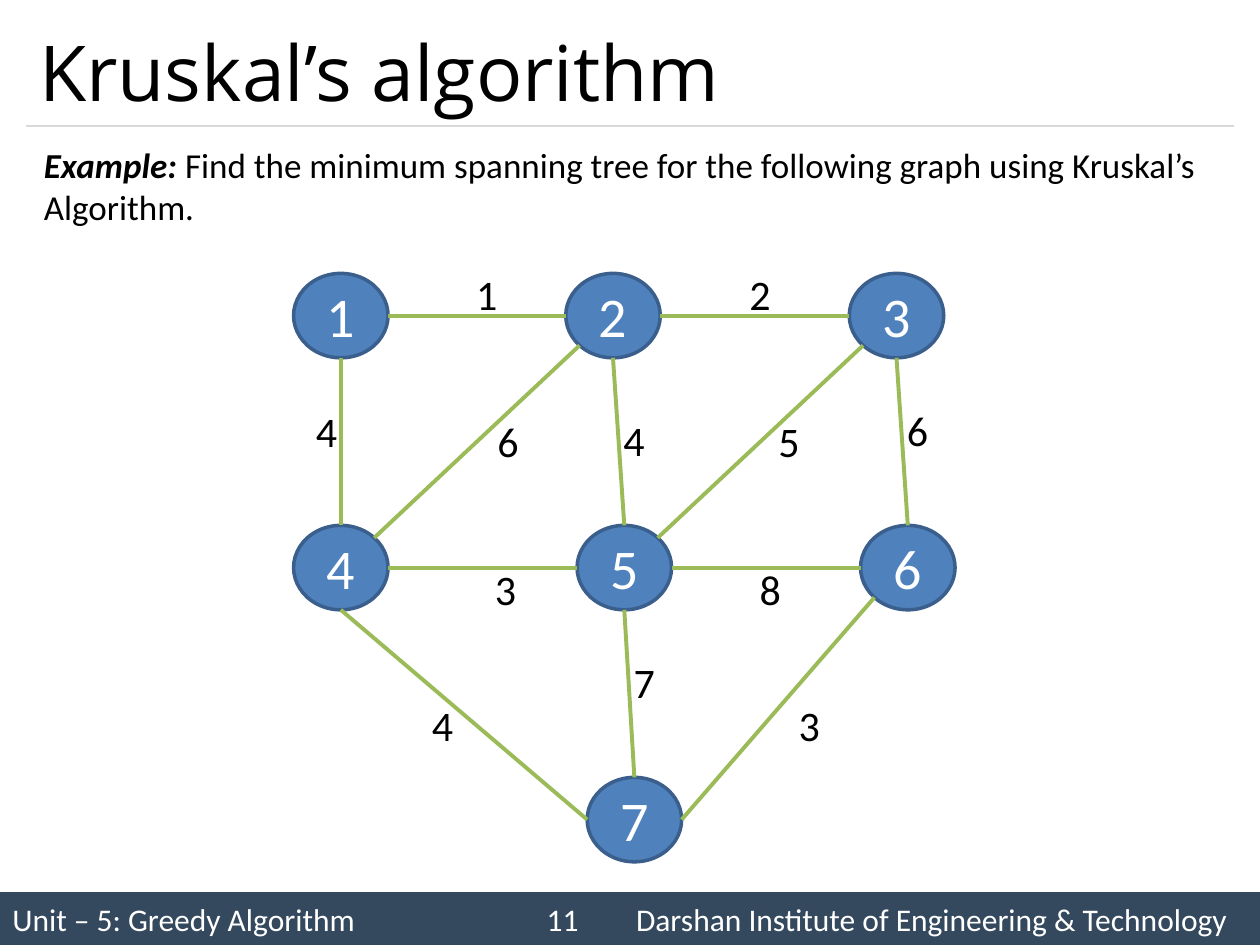
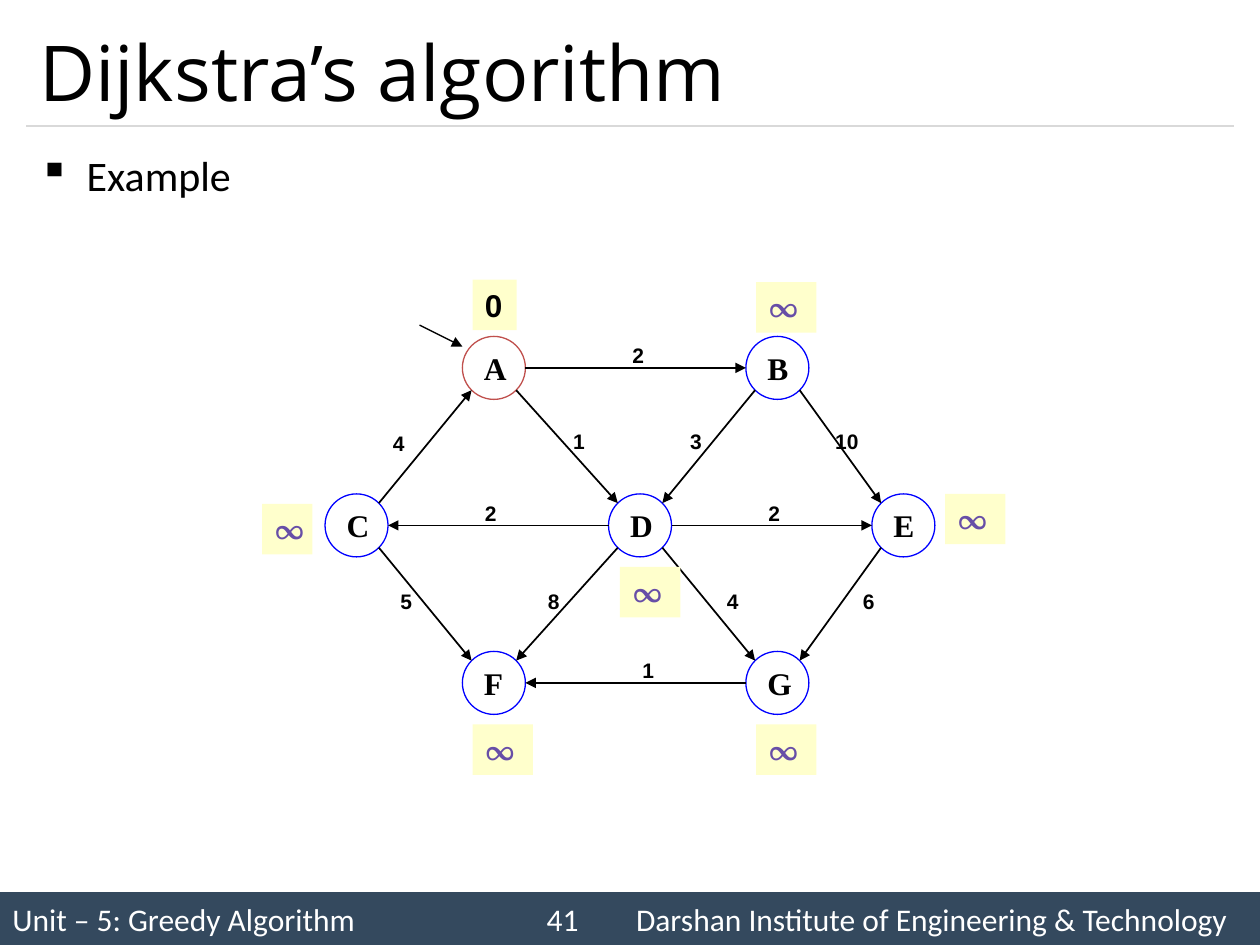
from lxml import etree
from pptx import Presentation
from pptx.dml.color import RGBColor
from pptx.enum.shapes import MSO_CONNECTOR, MSO_SHAPE
from pptx.enum.text import MSO_ANCHOR, MSO_AUTO_SIZE, PP_ALIGN
from pptx.oxml.ns import qn
from pptx.util import Inches, Pt

OVAL, RECT, STRAIGHT = MSO_SHAPE.OVAL, MSO_SHAPE.RECTANGLE, MSO_CONNECTOR.STRAIGHT
TOP, MIDDLE = MSO_ANCHOR.TOP, MSO_ANCHOR.MIDDLE
LEFT, CENTER, JUSTIFY = PP_ALIGN.LEFT, PP_ALIGN.CENTER, PP_ALIGN.JUSTIFY
NO_FIT, GROW = MSO_AUTO_SIZE.NONE, MSO_AUTO_SIZE.SHAPE_TO_FIT_TEXT

UNIT = "Unit – 5: Greedy Algorithm"
INSTITUTE = "Darshan Institute of Engineering & Technology"
FOOTER_TABS = (4.24, 4.95)

BLACK, WHITE, BAND, RULE = "000000", "FFFFFF", "34495E", "D9D9D9"
BLUE, DARK_BLUE, GREEN = "4F81BD", "3A5F8C", "9BBB59"
RED, PURE_BLUE, CREAM, PURPLE = "C0504D", "0000FF", "FFFFCC", "674EA7"

TITLE = {"name": "Open Sans", "size": Pt(44), "color": BLACK}
FOOTER = {"name": "Calibri", "size": Pt(18), "color": WHITE}
BODY = {"name": "Calibri", "size": Pt(24), "color": BLACK}
TASK = {**BODY, "size": Pt(20)}
TASK_LEAD = {**TASK, "bold": True, "italic": True}
NUMBER = {"name": "Calibri", "size": Pt(32), "color": WHITE}
LETTER = {"name": "Times New Roman", "size": Pt(18), "bold": True, "color": BLACK}
WEIGHT = {"name": "Arial", "size": Pt(12), "bold": True, "color": BLACK}
START = {**WEIGHT, "size": Pt(18)}
INFINITE = {"name": "Vollkorn", "size": Pt(18), "bold": True, "color": PURPLE}

D = 0.707
SITES = {"N": (0, -1), "S": (0, 1), "E": (1, 0), "W": (-1, 0),
         "NE": (D, -D), "NW": (-D, -D), "SE": (D, D), "SW": (-D, D)}

KRUSKAL_SIZE = (0.75, 0.67)
KRUSKAL_NODES = {
    "1": (2.33, 2.17), "2": (4.49, 2.17), "3": (6.74, 2.17),
    "4": (2.33, 4.17), "5": (4.58, 4.17), "6": (6.83, 4.17),
    "7": (4.66, 6.17),
}
KRUSKAL_EDGES = [
    ("1", "E", "2", "W", "1", 3.68, 2.08),
    ("2", "E", "3", "W", "2", 5.85, 2.08),
    ("1", "S", "4", "N", "4", 2.41, 3.17),
    ("4", "NE", "2", "SW", "6", 3.85, 3.25),
    ("2", "S", "5", "N", "4", 4.85, 3.24),
    ("5", "NE", "3", "SW", "5", 6.08, 3.25),
    ("3", "S", "6", "N", "6", 7.1, 3.16),
    ("4", "E", "5", "W", "3", 3.83, 4.42),
    ("5", "E", "6", "W", "8", 5.93, 4.42),
    ("4", "S", "7", "W", "4", 3.33, 5.5),
    ("5", "S", "7", "N", "7", 4.93, 5.16),
    ("6", "SW", "7", "E", "3", 6.24, 5.5),
]

DIJKSTRA_SIZE = (0.5, 0.5)
DIJKSTRA_NODES = {
    "A": (3.67, 2.67), "B": (5.92, 2.67),
    "C": (2.58, 3.92), "D": (4.83, 3.92), "E": (6.92, 3.92),
    "F": (3.67, 5.17), "G": (5.92, 5.17),
}
DIJKSTRA_EDGES = [
    ("A", "E", "B", "W", "2", 4.92, 2.67),
    ("C", "NE", "A", "SW", "4", 3.02, 3.37),
    ("A", "SE", "D", "NW", "1", 4.45, 3.35),
    ("B", "SW", "D", "NE", "3", 5.38, 3.35),
    ("B", "SE", "E", "NW", "10", 6.53, 3.35),
    ("D", "W", "C", "E", "2", 3.75, 3.92),
    ("D", "E", "E", "W", "2", 6, 3.92),
    ("C", "SE", "F", "NW", "5", 3.08, 4.62),
    ("D", "SW", "F", "NE", "8", 4.25, 4.62),
    ("D", "SE", "G", "NW", "4", 5.67, 4.62),
    ("E", "SW", "G", "NE", "6", 6.75, 4.62),
    ("G", "W", "F", "E", "1", 5, 5.17),
]
DISTANCES = [
    ("0", 3.75, 2.22, 0.35), ("∞", 6, 2.24, 0.48), ("∞", 2.08, 4, 0.4),
    ("∞", 7.5, 3.92, 0.48), ("∞", 4.92, 4.5, 0.48),
    ("∞", 3.75, 5.75, 0.48), ("∞", 6, 5.75, 0.48),
]


def rgb(value):
    return RGBColor.from_string(value)


def write(sp, runs, align=LEFT, **frame):
    tf = sp.text_frame
    for key, value in {"word_wrap": True, "vertical_anchor": TOP, **frame}.items():
        setattr(tf, key, value)
    p = tf.paragraphs[0]
    p.alignment = align
    for text, fmt in runs:
        r = p.add_run()
        r.text = text
        for key, value in fmt.items():
            if key == "color":
                r.font.color.rgb = rgb(value)
            else:
                setattr(r.font, key, value)
    return p


def add_text(s, box, runs, **options):
    sp = s.shapes.add_textbox(*map(Inches, box))
    return write(sp, runs, **options)


def add_shape(s, kind, box, fill=None, line=None, width=0.75):
    sp = s.shapes.add_shape(kind, *map(Inches, box))
    sp.shadow.inherit = False
    if fill:
        sp.fill.solid()
        sp.fill.fore_color.rgb = rgb(fill)
    else:
        sp.fill.background()
    if line:
        sp.line.color.rgb = rgb(line)
        sp.line.width = Pt(width)
    else:
        sp.line.fill.background()
    return sp


def add_line(s, start, end, color, width, arrow=False):
    cxn = s.shapes.add_connector(STRAIGHT, *map(Inches, (*start, *end)))
    cxn.line.color.rgb = rgb(color)
    cxn.line.width = Pt(width)
    if arrow:
        etree.SubElement(cxn.line._get_or_add_ln(), qn("a:tailEnd"), type="triangle")
    etree.SubElement(cxn._element.spPr, qn("a:effectLst"))


def site_point(corner, size, site):
    return [c + d / 2 * (1 + v) for c, d, v in zip(corner, size, SITES[site])]


def add_edges(s, nodes, size, edges, color, width, arrow=False):
    for a, a_site, b, b_site, *_ in edges:
        add_line(s, site_point(nodes[a], size, a_site),
                 site_point(nodes[b], size, b_site), color, width, arrow)


def new_slide(prs, title, number):
    s = prs.slides.add_slide(prs.slide_layouts[5])
    band = add_shape(s, RECT, (0, 7.08, 10, 0.42), BAND)
    p = write(band, [(f"{UNIT}\t{number}\t{INSTITUTE}", FOOTER)],
              vertical_anchor=MIDDLE)
    tabs = etree.SubElement(p._p.get_or_add_pPr(), qn("a:tabLst"))
    for pos in FOOTER_TABS:
        etree.SubElement(tabs, qn("a:tab"), pos=str(Inches(pos)), algn="l")
    add_line(s, (0.21, 1), (9.79, 1), RULE, 0.75)
    sp = s.shapes.title
    for key, value in {"left": 0.21, "top": 0.12, "width": 9.58, "height": 0.88}.items():
        setattr(sp, key, Inches(value))
    write(sp, [(title, TITLE)], vertical_anchor=MIDDLE, auto_size=NO_FIT)
    return s


def kruskal(prs):
    s = new_slide(prs, "Kruskal’s algorithm", 11)
    add_text(s, (0.25, 1.09, 9.54, 0.77), [
        ("Example: ", TASK_LEAD),
        ("Find the minimum spanning tree for the following graph "
         "using Kruskal’s Algorithm.", TASK),
    ], auto_size=GROW)
    for name, corner in KRUSKAL_NODES.items():
        sp = add_shape(s, OVAL, (*corner, *KRUSKAL_SIZE), BLUE, DARK_BLUE, 2)
        write(sp, [(name, NUMBER)], CENTER, vertical_anchor=MIDDLE)
    add_edges(s, KRUSKAL_NODES, KRUSKAL_SIZE, KRUSKAL_EDGES, GREEN, 2.25)
    for *_, weight, left, top in KRUSKAL_EDGES:
        add_text(s, (left, top, 0.4, 0.5), [(weight, BODY)], auto_size=GROW)


def dijkstra(prs):
    s = new_slide(prs, "Dijkstra’s algorithm", 41)
    p = add_text(s, (0.21, 1.08, 9.58, 5.83), [("Example", BODY)], align=JUSTIFY)
    p.line_spacing = 1.14
    pPr = p._p.get_or_add_pPr()
    pPr.set("marL", str(Inches(0.38)))
    pPr.set("indent", str(Inches(-0.38)))
    etree.SubElement(pPr, qn("a:buChar"), char="▪")
    for name, corner in DIJKSTRA_NODES.items():
        fill, line = (WHITE, RED) if name == "A" else (None, PURE_BLUE)
        sp = add_shape(s, OVAL, (*corner, *DIJKSTRA_SIZE), fill, line)
        write(sp, [(name, LETTER)], vertical_anchor=MIDDLE, word_wrap=False)
    add_edges(s, DIJKSTRA_NODES, DIJKSTRA_SIZE, DIJKSTRA_EDGES, BLACK, 1, True)
    add_line(s, (3.33, 2.58), (3.67, 2.75), BLACK, 0.75, True)
    for *_, weight, left, top in DIJKSTRA_EDGES:
        add_text(s, (left, top, 0.2 + 0.1 * len(weight), 0.3), [(weight, WEIGHT)],
                 vertical_anchor=MIDDLE, word_wrap=False, auto_size=GROW)
    for distance, left, top, width in DISTANCES:
        sp = add_shape(s, RECT, (left, top, width, 0.4), CREAM)
        write(sp, [(distance, START if distance == "0" else INFINITE)])


def main():
    prs = Presentation()
    prs.slide_width, prs.slide_height = Inches(10), Inches(7.5)
    kruskal(prs)
    dijkstra(prs)
    prs.save("out.pptx")


if __name__ == "__main__":
    main()
